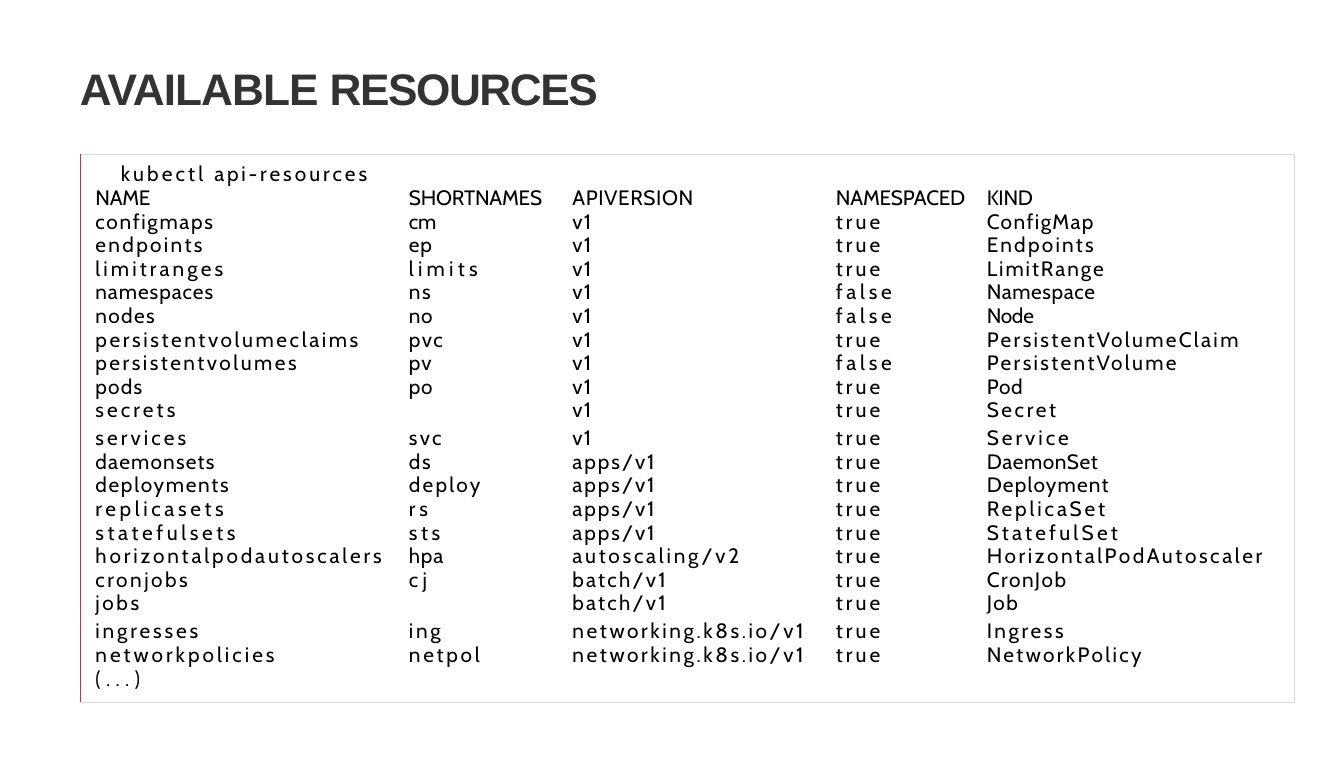
import dataclasses
import lxml.etree
import pptx
import pptx.dml.color
import pptx.enum.text
import pptx.oxml.ns
import pptx.util

Inches = pptx.util.Inches
Pt = pptx.util.Pt


@dataclasses.dataclass(frozen=True)
class Theme:
    ink: str = "000000"
    head: str = "333333"
    red: str = "ED2137"
    grey: str = "D9D9D9"
    title_font: str = "Arial"
    body_font: str = "Cabin"
    title_size: float = 35
    body_size: float = 16.5
    rule: float = 0.75
    plain: str = "{2D5ABB26-0587-4C30-8999-92F81FD0307C}"


CORE = ("v1", 1)
APPS = ("apps/v1", 1.6)
AUTO = ("autoscaling/v2", 2.2)
BATCH = ("batch/v1", 1.8)
NET = ("networking.k8s.io/v1", 2.1)
YES = ("true", 2.4)
NO = ("false", 3)
NONE = ("", 0)

COMMAND = [("kubectl ", 2.5), ("api-", 2.2), ("resources", 2.4)]
HEADS = [("NAME", -0.2), ("SHORTNAMES", -0.1), ("APIVERSION", 0.5),
         ("NAMESPACED", -0.1), ("KIND", -0.2)]
ITEMS = [
    [("configmaps", 1.4), ("cm", -0.2), CORE, YES, ("ConfigMap", 1.2)],
    [("endpoints", 1.9), ("ep", 0.7), CORE, YES, ("Endpoints", 1.8)],
    [("limitranges", 2.5), ("limits", 3.4), CORE, YES, ("LimitRange", 1.6)],
    [("namespaces", 0.8), ("ns", 1.3), CORE, NO, ("Namespace", 0.5)],
    [("nodes", 1.1), ("no", 0.5), CORE, NO, ("Node", -0.2)],
    [("persistentvolumeclaims", 2.1), ("pvc", 1.3), CORE, YES, ("PersistentVolumeClaim", 1.9)],
    [("persistentvolumes", 2), ("pv", 0.9), CORE, NO, ("PersistentVolume", 1.9)],
    [("pods", 1), ("po", 0.6), CORE, YES, ("Pod", 0.6)],
    [("secrets", 2.5), NONE, CORE, YES, ("Secret", 2.1)],
    [("services", 2.5), ("svc", 1.9), CORE, YES, ("Service", 2.4)],
    [("daemonsets", 1), ("ds", 1.4), APPS, YES, ("DaemonSet", 0.5)],
    [("deployments", 1.4), ("deploy", 1.8), APPS, YES, ("Deployment", 1)],
    [("replicasets", 2.9), ("rs", 3), APPS, YES, ("ReplicaSet", 2.3)],
    [("statefulsets", 2.9), ("sts", 2.9), APPS, YES, ("StatefulSet", 2.6)],
    [("horizontalpodautoscalers", 2.3), ("hpa", 0.7), AUTO, YES, ("HorizontalPodAutoscaler", 2.1)],
    [("cronjobs", 2), ("cj", 3.5), BATCH, YES, ("CronJob", 1.3)],
    [("jobs", 2.1), NONE, BATCH, YES, ("Job", 1.3)],
    [("ingresses", 2.3), ("ing", 2.2), NET, YES, ("Ingress", 2.1)],
    [("networkpolicies", 2.4), ("netpol", 2.2), NET, YES, ("NetworkPolicy", 1.9)],
]
MORE = [("(...)", 4.2)] + [NONE] * 4

WIDTHS = [3.54, 1.66, 3.04, 1.59, 3.52]
INDENTS = [0.16, 0.07, 0.21, 0.07, 0.14]


class Deck:
    def __init__(self, theme, width, height):
        self.theme = theme
        self.file = pptx.Presentation()
        self.file.slide_width = Inches(width)
        self.file.slide_height = Inches(height)
        self.slide = self.file.slides.add_slide(self.file.slide_layouts[5])

    def text(self, para, runs, font, size, color, bold=False):
        for words, space in runs:
            if not words:
                continue
            run = para.add_run()
            run.text = words
            run.font.name = font
            run.font.size = Pt(size)
            run.font.bold = bold
            run.font.color.rgb = pptx.dml.color.RGBColor.from_string(color)
            run._r.get_or_add_rPr().set("spc", str(round(space * 100)))

    def title(self, runs, left, top, width, height):
        shape = self.slide.shapes.title
        shape.left, shape.top = Inches(left), Inches(top)
        shape.width, shape.height = Inches(width), Inches(height)
        frame = shape.text_frame
        frame.auto_size = pptx.enum.text.MSO_AUTO_SIZE.NONE
        frame.word_wrap = True
        frame.vertical_anchor = pptx.enum.text.MSO_ANCHOR.TOP
        frame.margin_left = Inches(0.01)
        frame.margin_top = Inches(0.05)
        frame.margin_right = frame.margin_bottom = 0
        para = frame.paragraphs[0]
        para.alignment = pptx.enum.text.PP_ALIGN.LEFT
        self.text(para, runs, self.theme.title_font, self.theme.title_size,
                  self.theme.head, True)

    def edge(self, cell, side, color):
        props = cell._tc.get_or_add_tcPr()
        name = pptx.oxml.ns.qn
        line = lxml.etree.SubElement(props, name("a:ln" + side), w=str(Pt(self.theme.rule)))
        fill = lxml.etree.SubElement(line, name("a:solidFill"))
        lxml.etree.SubElement(fill, name("a:srgbClr"), val=color)

    def cell(self, cell, runs, indent, top=0.0, pitch=17.8):
        cell.margin_left, cell.margin_top = Inches(indent), Inches(top)
        cell.margin_right = cell.margin_bottom = 0
        para = cell.text_frame.paragraphs[0]
        para.line_spacing = Pt(pitch)
        self.text(para, runs, self.theme.body_font, self.theme.body_size, self.theme.ink)

    def table(self, left, top, widths, heights):
        frame = self.slide.shapes.add_table(
            len(heights), len(widths), Inches(left), Inches(top),
            Inches(sum(widths)), Inches(sum(heights)))
        grid = frame.table
        grid.first_row = grid.horz_banding = False
        grid._tbl.tblPr.find(pptx.oxml.ns.qn("a:tableStyleId")).text = self.theme.plain
        for col, width in zip(grid.columns, widths):
            col.width = Inches(width)
        for row, height in zip(grid.rows, heights):
            row.height = Inches(height)
        grid.cell(0, 0).merge(grid.cell(0, len(widths) - 1))
        for r in range(len(heights)):
            for c in range(len(widths)):
                cell = grid.cell(r, c)
                if c == 0:
                    self.edge(cell, "L", self.theme.red)
                if c == len(widths) - 1 or cell.is_merge_origin:
                    self.edge(cell, "R", self.theme.grey)
                if r == 0:
                    self.edge(cell, "T", self.theme.grey)
                if r == len(heights) - 1:
                    self.edge(cell, "B", self.theme.grey)
                cell.fill.background()
        return grid


def main():
    deck = Deck(Theme(), 14.79, 8.33)
    deck.title([("AVAILABLE ", -0.8), ("RESOURCES", -1.2)], 0.87, 0.63, 12.71, 0.61)
    rows = [HEADS, *ITEMS, MORE]
    heights = [0.37] + [0.26] * (len(rows) - 1) + [0.37]
    grid = deck.table(0.89, 1.7, WIDTHS, heights)
    deck.cell(grid.cell(0, 0), COMMAND, 0.44, 0.09, 18.9)
    pitches = [18] + [17.8] * len(ITEMS) + [18.4]
    for r, (row, pitch) in enumerate(zip(rows, pitches), 1):
        for c, (run, indent) in enumerate(zip(row, INDENTS)):
            deck.cell(grid.cell(r, c), [run], indent, pitch=pitch)
    deck.file.save("out.pptx")


if __name__ == "__main__":
    main()
